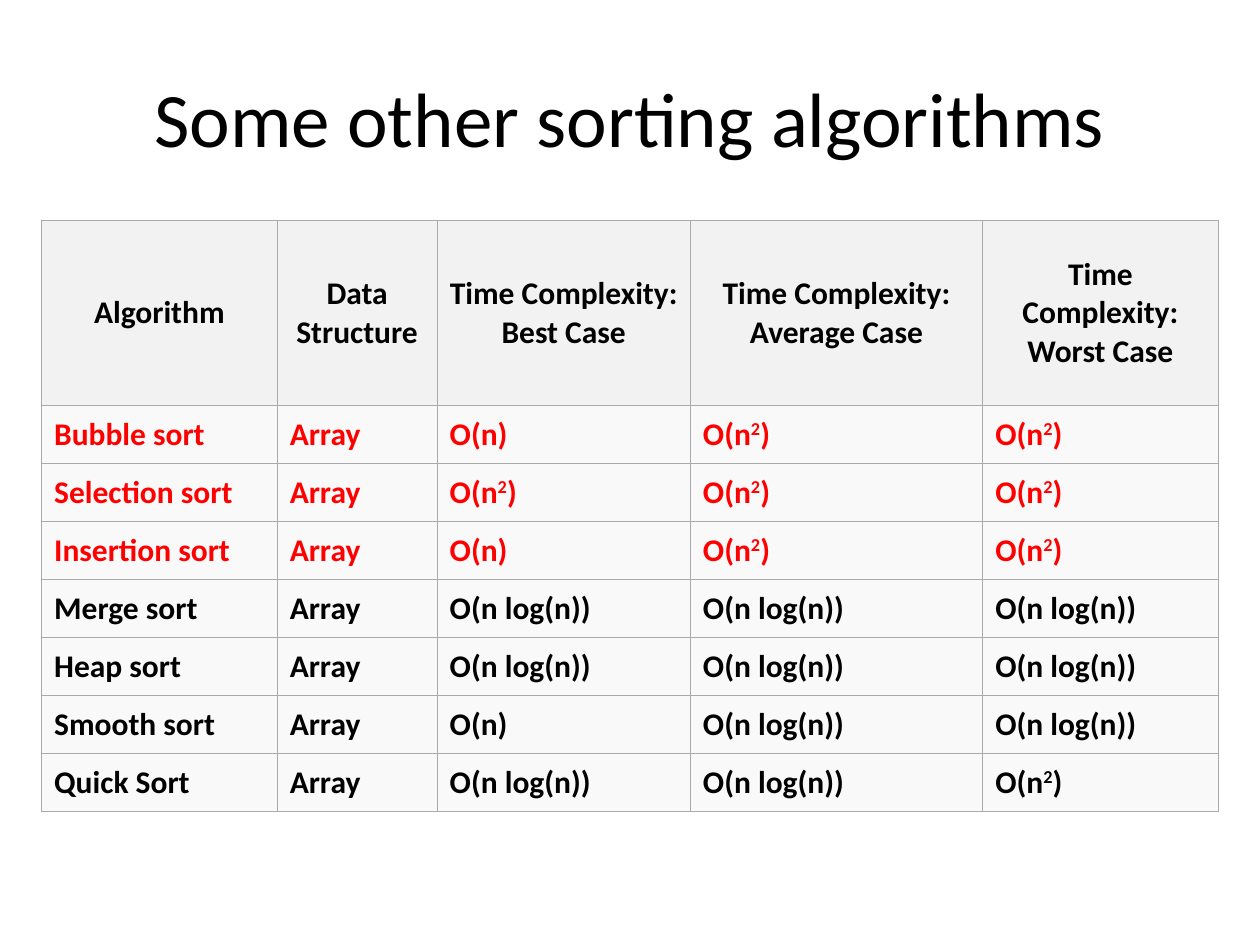
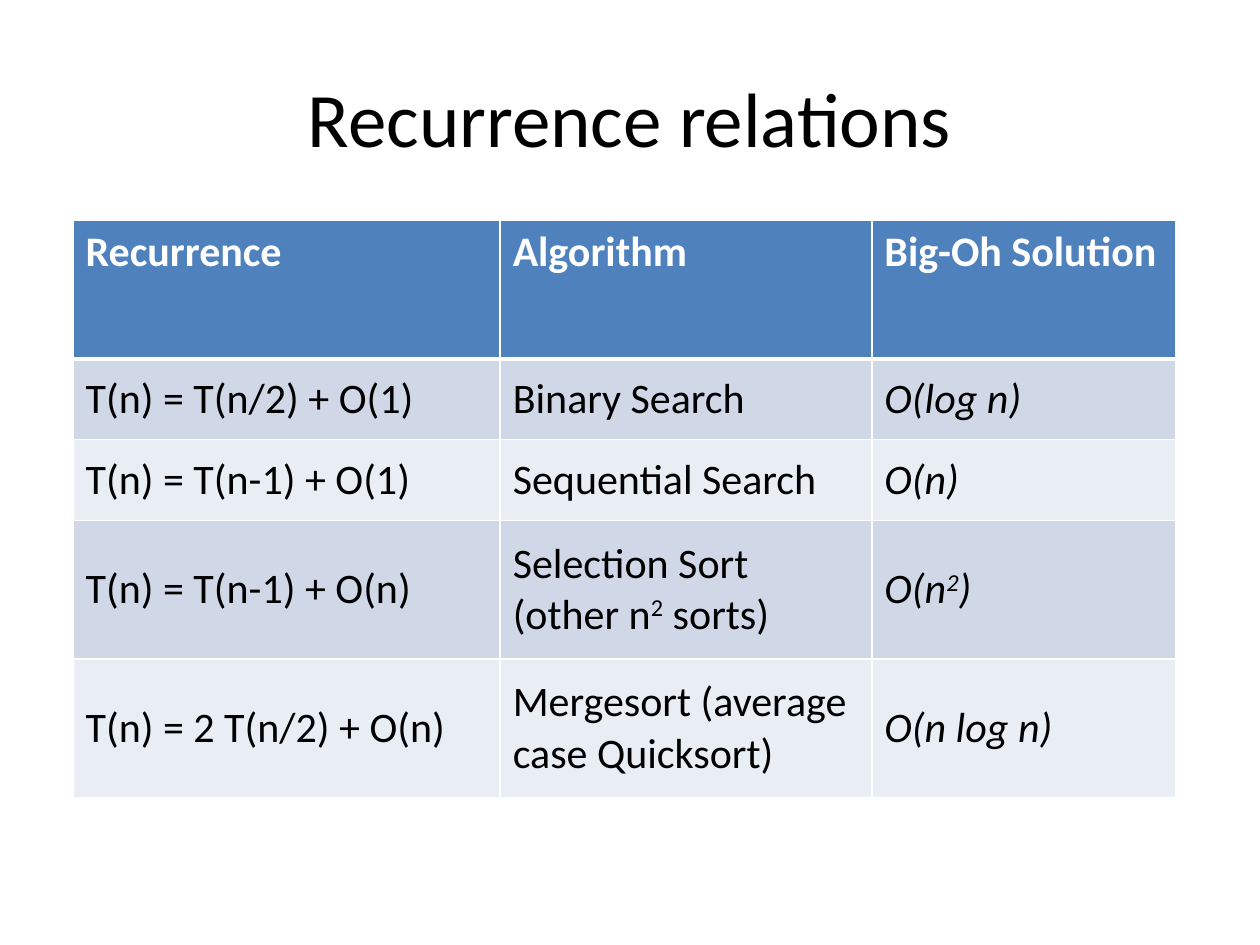
from lxml import etree
from pptx import Presentation
from pptx.dml.color import RGBColor
from pptx.enum.text import MSO_ANCHOR, PP_ALIGN
from pptx.oxml.ns import qn
from pptx.util import Inches, Pt

CENTER, LEFT = PP_ALIGN.CENTER, PP_ALIGN.LEFT
MIDDLE, TOP = MSO_ANCHOR.MIDDLE, MSO_ANCHOR.TOP
FONT = "Calibri"
TITLE_BOX = (0.5, 0.3, 9, 1.25)
TITLE_ONLY = 5

COLORS = {
    "text": "000000", "white": "FFFFFF", "red": "FF0000",
    "grey_line": "AAAAAA", "grey_head": "F2F2F2", "grey_body": "F9F9F9",
    "blue_head": "4F81BD", "blue_band": "D0D8E8", "pale_band": "E9EDF4",
}

SQUARE, LOG = "O(n²)", "O(n log(n))"

SORTS = {
    "title": "Some other sorting algorithms",
    "at": (0.33, 1.75),
    "cols": [1.87, 1.27, 2.01, 2.32, 1.87],
    "heights": [1.47] + [0.46] * 7,
    "size": 18,
    "bold_body": True,
    "head": {"fill": "grey_head", "color": "text", "align": CENTER, "anchor": MIDDLE},
    "bands": ["grey_body"],
    "line": ("grey_line", 0.75),
    "head_rule": 0.75,
    "red_rows": 3,
    "italic_col": None,
    "rows": [
        ["Algorithm", "Data Structure", "Time Complexity:\nBest Case",
         "Time Complexity:\nAverage Case", "Time Complexity:\nWorst Case"],
        ["Bubble sort", "Array", "O(n)", SQUARE, SQUARE],
        ["Selection sort", "Array", SQUARE, SQUARE, SQUARE],
        ["Insertion sort", "Array", "O(n)", SQUARE, SQUARE],
        ["Merge sort", "Array", LOG, LOG, LOG],
        ["Heap sort", "Array", LOG, LOG, LOG],
        ["Smooth sort", "Array", "O(n)", LOG, LOG],
        ["Quick Sort", "Array", LOG, LOG, SQUARE],
    ],
}

RECURRENCES = {
    "title": "Recurrence relations",
    "at": (0.58, 1.75),
    "cols": [3.39, 2.95, 2.41],
    "heights": [1.1, 0.64, 0.64, 1.1, 1.1],
    "size": 24,
    "bold_body": False,
    "head": {"fill": "blue_head", "color": "white", "align": LEFT, "anchor": TOP},
    "bands": ["blue_band", "pale_band"],
    "line": ("white", 1),
    "head_rule": 3,
    "red_rows": 0,
    "italic_col": 2,
    "rows": [
        ["Recurrence", "Algorithm", "Big-Oh Solution"],
        ["T(n) = T(n/2) + O(1)", "Binary Search", "O(log n)"],
        ["T(n) = T(n-1) + O(1)", "Sequential Search", "O(n)"],
        ["T(n) = T(n-1) + O(n)", "Selection Sort (other n² sorts)", "O(n²)"],
        ["T(n) = 2 T(n/2) + O(n)", "Mergesort (average case Quicksort)", "O(n log n)"],
    ],
}


def rgb(name):
    return RGBColor.from_string(COLORS[name])


def style_run(r, size, color, bold=False, italic=False):
    r.font.name = FONT
    r.font.size = Pt(size)
    r.font.color.rgb = rgb(color)
    r.font.bold = bold
    r.font.italic = italic


def add_title(s, text):
    sp = s.shapes.title
    sp.left, sp.top, sp.width, sp.height = map(Inches, TITLE_BOX)
    tf = sp.text_frame
    tf.text = text
    tf.vertical_anchor = MIDDLE
    p = tf.paragraphs[0]
    p.alignment = CENTER
    style_run(p.runs[0], 44, "text")


def set_borders(cell, color, widths):
    tc_pr = cell._tc.get_or_add_tcPr()
    for side, width in widths.items():
        ln = etree.SubElement(tc_pr, qn(f"a:ln{side}"), w=str(Pt(width)))
        fill = etree.SubElement(ln, qn("a:solidFill"))
        etree.SubElement(fill, qn("a:srgbClr"), val=COLORS[color])


def write_cell(cell, text, align, **font):
    tf = cell.text_frame
    tf.text = text
    for p in tf.paragraphs:
        p.alignment = align
        before, square, after = p.text.partition("²")
        p.runs[0].text = before
        if square:
            p.add_run().text = "2"
            p.add_run().text = after
        for r in p.runs:
            style_run(r, **font)
        if square:
            p.runs[1].font._element.set("baseline", "30000")


def add_grid(s, spec):
    rows, cols, heights = spec["rows"], spec["cols"], spec["heights"]
    size = (sum(cols), sum(heights))
    table = s.shapes.add_table(len(rows), len(cols),
                               *map(Inches, spec["at"] + size)).table
    for col, width in zip(table.columns, cols):
        col.width = Inches(width)
    for row, height in zip(table.rows, heights):
        row.height = Inches(height)

    head, bands = spec["head"], spec["bands"]
    line_color, line = spec["line"]
    for i, row in enumerate(rows):
        is_head = i == 0
        body_color = "red" if i <= spec["red_rows"] else "text"
        fill = head["fill"] if is_head else bands[(i - 1) % len(bands)]
        widths = {"L": line, "R": line,
                  "T": spec["head_rule"] if i == 1 else line,
                  "B": spec["head_rule"] if is_head else line}
        for j, text in enumerate(row):
            cell = table.cell(i, j)
            cell.vertical_anchor = head["anchor"] if is_head else MIDDLE
            set_borders(cell, line_color, widths)
            cell.fill.solid()
            cell.fill.fore_color.rgb = rgb(fill)
            write_cell(cell, text, head["align"] if is_head else LEFT,
                       size=spec["size"],
                       color=head["color"] if is_head else body_color,
                       bold=is_head or spec["bold_body"],
                       italic=not is_head and j == spec["italic_col"])


def main():
    prs = Presentation()
    prs.slide_width, prs.slide_height = Inches(10), Inches(7.5)
    for spec in (SORTS, RECURRENCES):
        s = prs.slides.add_slide(prs.slide_layouts[TITLE_ONLY])
        add_title(s, spec["title"])
        add_grid(s, spec)
    prs.save("out.pptx")


if __name__ == "__main__":
    main()
